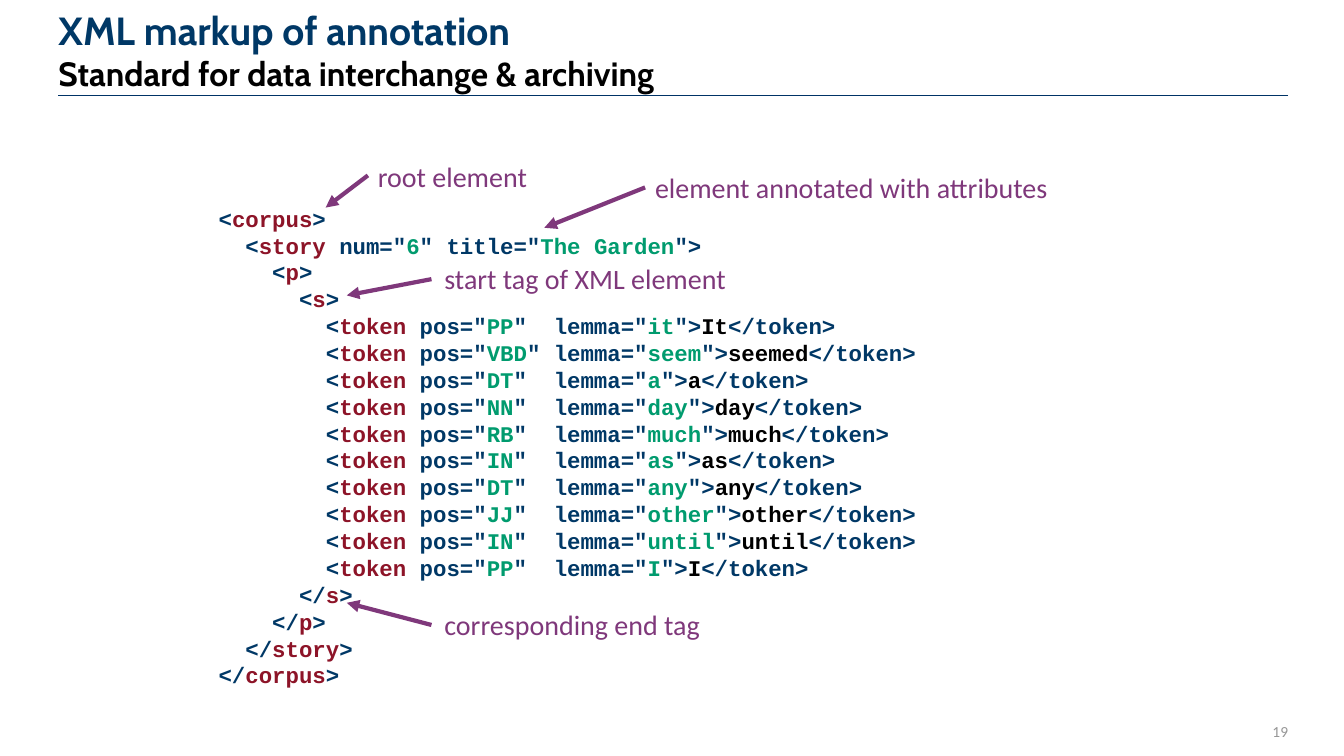
from dataclasses import dataclass
from typing import NamedTuple

from lxml import etree
from pptx import Presentation
from pptx.dml.color import RGBColor
from pptx.enum.shapes import MSO_CONNECTOR
from pptx.enum.text import MSO_ANCHOR, PP_ALIGN
from pptx.oxml.ns import qn
from pptx.slide import Slide
from pptx.text.text import TextFrame, _Paragraph
from pptx.util import Pt

STRAIGHT = MSO_CONNECTOR.STRAIGHT
TOP, MIDDLE, BOTTOM = MSO_ANCHOR.TOP, MSO_ANCHOR.MIDDLE, MSO_ANCHOR.BOTTOM
RIGHT = PP_ALIGN.RIGHT


@dataclass(frozen=True)
class Theme:
    blue: str = "003866"
    red: str = "8D1428"
    green: str = "009B6E"
    black: str = "000000"
    purple: str = "7F387B"
    grey: str = "969696"
    rule: str = "003366"
    head: str = "Cabin"
    body: str = "Calibri"
    mono: str = "Courier New"
    title: float = 28
    sub: float = 24
    label: float = 20
    code: float = 16
    small: float = 11


class Box(NamedTuple):
    left: float
    top: float
    width: float
    height: float


class Line(NamedTuple):
    x1: float
    y1: float
    x2: float
    y2: float


class Note(NamedTuple):
    text: str
    box: Box
    arrow: Line


class Token(NamedTuple):
    pos: str
    lemma: str
    word: str


class Part(NamedTuple):
    text: str
    color: str


THEME = Theme()
STEP = 19.2  # line pitch of the code
INDENT = 2

NOTES = [
    Note("start tag of XML element", Box(310.3, 183.6, 224.6, 31.7),
         Line(308.2, 199.4, 247.7, 211)),
    Note("corresponding end tag", Box(310.3, 430.6, 224.6, 31.7),
         Line(308.2, 446.4, 247.7, 430.6)),
    Note("root element", Box(262.8, 110.2, 125.3, 31.7),
         Line(262.8, 125.3, 232.6, 148.3)),
    Note("element annotated with attributes", Box(460.8, 118.1, 298.8, 31.7),
         Line(460.8, 133.9, 388.8, 162.7)),
]

TOKENS = [
    Token("PP", "it", "It"),
    Token("VBD", "seem", "seemed"),
    Token("DT", "a", "a"),
    Token("NN", "day", "day"),
    Token("RB", "much", "much"),
    Token("IN", "as", "as"),
    Token("DT", "any", "any"),
    Token("JJ", "other", "other"),
    Token("IN", "until", "until"),
    Token("PP", "I", "I"),
]


def add_frame(slide: Slide, box: Box, anchor: MSO_ANCHOR = TOP,
              inset: bool = False) -> TextFrame:
    frame = slide.shapes.add_textbox(*map(Pt, box)).text_frame
    frame.word_wrap = True
    frame.vertical_anchor = anchor
    if not inset:
        frame.margin_left = frame.margin_right = 0
        frame.margin_top = frame.margin_bottom = 0
    return frame


def set_font(font, name: str, size: float, color: str, bold: bool = False) -> None:
    font.name, font.size, font.bold = name, Pt(size), bold
    font.color.rgb = RGBColor.from_string(color)


def add_line(slide: Slide, line: Line, color: str, width: float,
             arrow: bool = False) -> None:
    link = slide.shapes.add_connector(STRAIGHT, *map(Pt, line))
    link.line.color.rgb = RGBColor.from_string(color)
    link.line.width = Pt(width)
    if arrow:
        etree.SubElement(link.line._get_or_add_ln(), qn("a:tailEnd"), type="triangle")
    etree.SubElement(link._element.spPr, qn("a:effectLst"))


def add_title(slide: Slide) -> None:
    para = add_frame(slide, Box(41.8, 9.4, 607.7, 56.9), BOTTOM).paragraphs[0]
    para.line_spacing = Pt(28)
    top = para.add_run()
    top.text = "XML markup of annotation"
    set_font(top.font, THEME.head, THEME.title, THEME.blue, True)
    para.add_line_break()
    sub = para.add_run()
    sub.text = "Standard for data interchange & archiving"
    set_font(sub.font, THEME.head, THEME.sub, THEME.black, True)


def tag(name: str, depth: int, start: str = "<", end: str = ">") -> list[Part]:
    return [Part(" " * INDENT * depth + start, THEME.blue),
            Part(name, THEME.red), Part(end, THEME.blue)]


def token_row(token: Token) -> list[Part]:
    """Pad after the pos value so that the lemma fields line up."""
    gap = " " * (4 - len(token.pos))
    return tag("token", 4, end=' pos="') + [
        Part(token.pos, THEME.green), Part(f'"{gap}lemma="', THEME.blue),
        Part(token.lemma, THEME.green), Part('">', THEME.blue),
        Part(token.word, THEME.black), Part("</token>", THEME.blue)]


def code_rows() -> list[list[Part]]:
    story = tag("story", 1, end=' num="') + [
        Part("6", THEME.green), Part('" title="', THEME.blue),
        Part("The Garden", THEME.green), Part('">', THEME.blue)]
    names = ["corpus", "story", "p", "s"]
    close = [tag(name, depth, "</") for depth, name in enumerate(names)]
    return [tag("corpus", 0), story, tag("p", 2), tag("s", 3),
            *map(token_row, TOKENS), *reversed(close)]


def fill_row(para: _Paragraph, row: list[Part]) -> None:
    para.line_spacing = Pt(STEP)
    para.font.name, para.font.size, para.font.bold = THEME.mono, Pt(THEME.code), True
    for part in row:
        run = para.add_run()
        run.text = part.text
        run.font.color.rgb = RGBColor.from_string(part.color)


def add_code(slide: Slide) -> None:
    rows = code_rows()
    frame = add_frame(slide, Box(156.2, 146.3, 648, STEP * len(rows)))
    for num, row in enumerate(rows):
        fill_row(frame.add_paragraph() if num else frame.paragraphs[0], row)


def add_note(slide: Slide, note: Note) -> None:
    para = add_frame(slide, note.box, inset=True).paragraphs[0]
    para.text = note.text
    set_font(para.font, THEME.body, THEME.label, THEME.purple)
    add_line(slide, note.arrow, THEME.purple, 3, arrow=True)


def add_number(slide: Slide) -> None:
    para = add_frame(slide, Box(872.6, 504.7, 47.5, 35.3), MIDDLE).paragraphs[0]
    para.text = "19"
    para.alignment = RIGHT
    set_font(para.font, THEME.body, THEME.small, THEME.grey)


def main() -> None:
    deck = Presentation()
    deck.slide_width, deck.slide_height = Pt(960), Pt(540)
    slide = deck.slides.add_slide(deck.slide_layouts[6])
    add_line(slide, Line(920.2, 68.4, 41.8, 68.4), THEME.rule, 0.75)
    add_title(slide)
    add_code(slide)
    for note in NOTES:
        add_note(slide, note)
    add_number(slide)
    deck.save("out.pptx")


if __name__ == "__main__":
    main()
